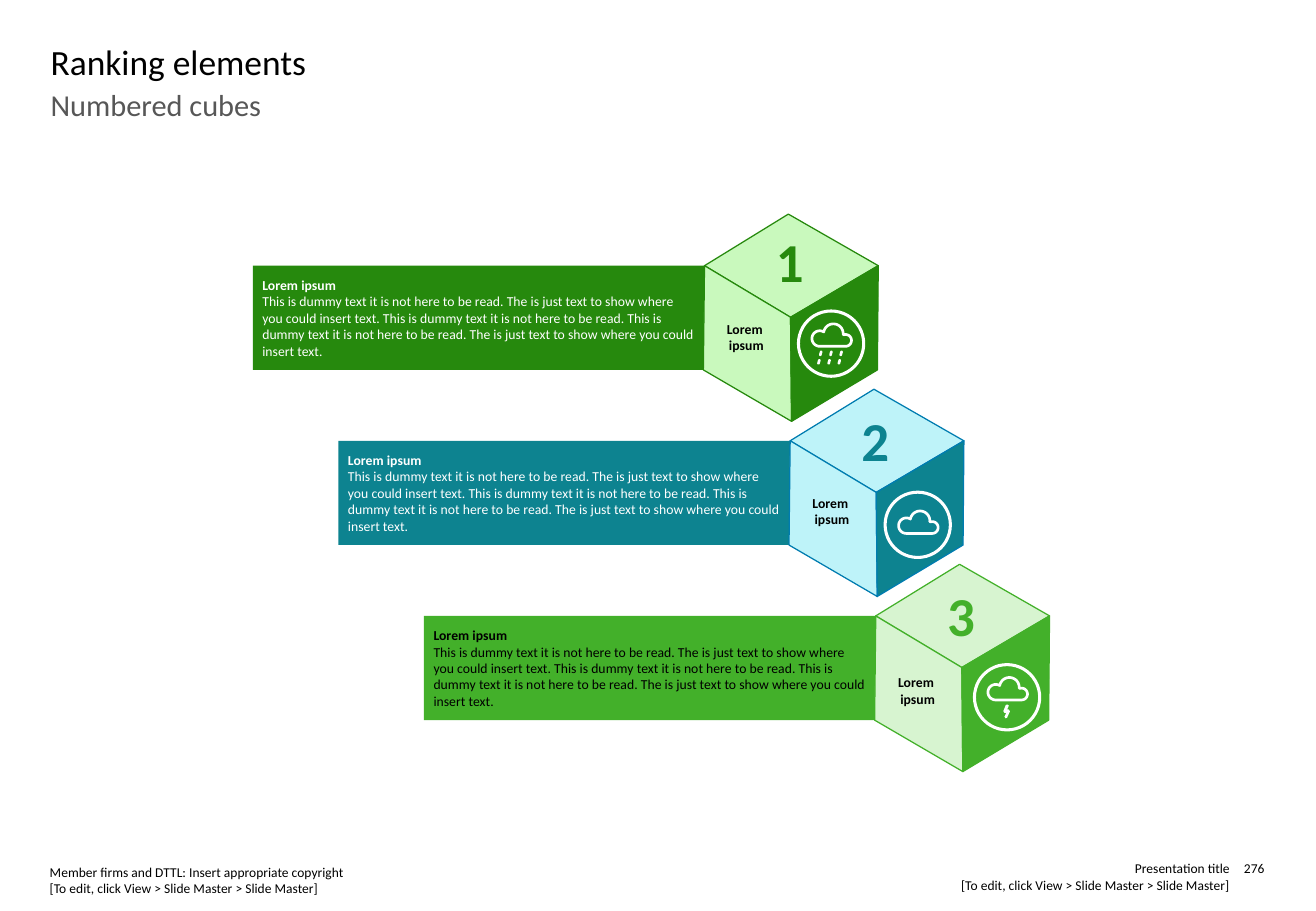
from dataclasses import dataclass
from math import cos, radians, sin

from pptx import Presentation
from pptx.dml.color import RGBColor
from pptx.enum.shapes import MSO_SHAPE as Shape
from pptx.enum.text import MSO_ANCHOR as Anchor, PP_ALIGN as Align
from pptx.util import Pt


@dataclass(frozen=True)
class Theme:
    font: str = "Calibri"
    black: str = "000000"
    white: str = "FFFFFF"
    gray: str = "575757"
    title: float = 21
    subtitle: float = 18
    footer: float = 8
    body: float = 8.1
    number: float = 32.5


@dataclass(frozen=True)
class Rank:
    number: str
    dark: str
    light: str
    edge: str
    text: str
    number_top: float   # tops and icon centre are measured from the cube corner
    label_top: float
    icon_center: tuple
    weather: str


THEME = Theme()
RANKS = [
    Rank("1", "26890D", "C9F9BD", "26890D", THEME.white, -24.5, 32.5, (75, 46.2), "rain"),
    Rank("2", "0D8390", "BEF3F9", "007CB0", THEME.white, -22.3, 31.8, (75.6, 49.8), "cloud"),
    Rank("3", "43B02A", "D7F4D0", "43B02A", THEME.black, -22.3, 34.5, (77.8, 48.2), "storm"),
]
DUMMY = ("This is dummy text it is not here to be read. The is just text to show where "
         "you could insert text. This is dummy text it is not here to be read. This is "
         "dummy text it is not here to be read. The is just text to show where you could "
         "insert text.")
EDIT_HINT = "[To edit, click View > Slide Master > Slide Master]"

# Bars and their steps from rank to rank
BAR_LEFT, BAR_TOP, BAR_WIDTH, BAR_HEIGHT = 149.8, 157.5, 267.8, 61.8
STEP_X, STEP_Y = 50.75, 103.8

# Cube corners, measured from the upper left corner
WEST, NORTH, EAST, MIDDLE = (0, 0), (49.7, -30.6), (103, 0), (51, 30.6)
SOUTH_WEST, SOUTH, SOUTH_EAST = (-0.7, 61.8), (51.6, 92.3), (102.5, 61.8)

# Icon parts, measured from the ring centre; arcs are x, y, radius, start, end
RING_SIZE = 38.7
CLOUD_ARCS = [(-6.7, -3, 4.6, 90, 300), (1.4, -5.9, 5.8, 190, 365), (8.6, -1.9, 3.5, 255, 450)]
DROP_ROWS = [(-6.1, 5.8), (-7.2, 10.8)]
DROP_GAP, DROP_WIDTH, DROP_HEIGHT = 6.05, 1.6, 3.3
BOLT = [(0.4, 4.3), (-0.7, 4.5), (-2.2, 8.2), (-1.7, 9.2), (-0.5, 9.3), (-1.5, 11.6),
        (-0.8, 12.5), (0, 12.2), (1.7, 8.4), (1.1, 7.3), (0.1, 7.2), (1.1, 5)]


def color(value):
    return RGBColor.from_string(value)


def paint(shape, fill=None, line=None, width=0.75):
    shape.shadow.inherit = False
    if fill:
        shape.fill.solid()
        shape.fill.fore_color.rgb = color(fill)
    else:
        shape.fill.background()
    if line:
        shape.line.color.rgb = color(line)
        shape.line.width = Pt(width)
    else:
        shape.line.fill.background()


def set_font(font, size, tint, bold=False):
    font.name, font.size, font.bold = THEME.font, Pt(size), bold
    font.color.rgb = color(tint)


def set_margins(frame, margin):
    frame.word_wrap = True
    frame.margin_left = frame.margin_right = Pt(margin)
    frame.margin_top = frame.margin_bottom = Pt(margin)


def add_text(slide, text, box, size, tint=THEME.black, align=Align.LEFT, bold=False, margin=0):
    frame = slide.shapes.add_textbox(*map(Pt, box)).text_frame
    set_margins(frame, margin)
    paragraph = frame.paragraphs[0]
    paragraph.text = text
    paragraph.alignment = align
    set_font(paragraph.font, size, tint, bold)


def add_polygon(shapes, origin, points, **colors):
    corners = [(Pt(origin[0] + x), Pt(origin[1] + y)) for x, y in points]
    builder = shapes.build_freeform(*corners[0])
    builder.add_line_segments(corners[1:], close=True)
    paint(builder.convert_to_shape(), **colors)


def add_bar(slide, left, top, rank):
    bar = slide.shapes.add_shape(Shape.RECTANGLE, Pt(left), Pt(top), Pt(BAR_WIDTH), Pt(BAR_HEIGHT))
    paint(bar, rank.dark)
    frame = bar.text_frame
    set_margins(frame, 5.67)
    frame.vertical_anchor = Anchor.MIDDLE
    paragraph = frame.paragraphs[0]
    paragraph.alignment = Align.LEFT
    heading = paragraph.add_run()
    heading.text = "Lorem ipsum"
    paragraph.add_line_break()
    body = paragraph.add_run()
    body.text = DUMMY
    set_font(heading.font, THEME.body, rank.text, True)
    set_font(body.font, THEME.body, rank.text)


def add_cube(slide, corner, rank):
    shapes = slide.shapes.add_group_shape().shapes
    faces = [
        ((WEST, NORTH, EAST, MIDDLE), rank.light),
        ((SOUTH_WEST, WEST, MIDDLE, SOUTH), rank.light),
        ((MIDDLE, SOUTH, SOUTH_EAST, EAST), rank.dark),
    ]
    for points, fill in faces:
        add_polygon(shapes, corner, points, fill=fill, line=rank.edge)


def cloud_points():
    return [(x + radius * cos(radians(angle)), y + radius * sin(radians(angle)))
            for x, y, radius, start, end in CLOUD_ARCS
            for angle in range(start, end + 1, 5)]


def add_icon(slide, center, weather):
    shapes = slide.shapes.add_group_shape().shapes
    x, y = center
    ring = shapes.add_shape(Shape.OVAL, Pt(x - RING_SIZE / 2), Pt(y - RING_SIZE / 2),
                            Pt(RING_SIZE), Pt(RING_SIZE))
    paint(ring, line=THEME.white, width=1.8)
    cloud_shift = 3.5 if weather == "cloud" else 0
    add_polygon(shapes, (x, y + cloud_shift), cloud_points(), line=THEME.white, width=1.6)
    if weather == "rain":
        for first, level in DROP_ROWS:
            for column in range(3):
                drop = shapes.add_shape(
                    Shape.ROUNDED_RECTANGLE,
                    Pt(x + first + column * DROP_GAP - DROP_WIDTH / 2),
                    Pt(y + level - DROP_HEIGHT / 2), Pt(DROP_WIDTH), Pt(DROP_HEIGHT))
                drop.adjustments[0] = 0.5
                drop.rotation = 15
                paint(drop, THEME.white)
    elif weather == "storm":
        add_polygon(shapes, center, BOLT, fill=THEME.white)


def add_rank(slide, index, rank):
    left, top = BAR_LEFT + index * STEP_X, BAR_TOP + index * STEP_Y
    x = left + BAR_WIDTH
    add_bar(slide, left, top, rank)
    add_cube(slide, (x, top), rank)
    add_text(slide, rank.number, (x + 28.5, top + rank.number_top, 44, 44),
             THEME.number, rank.dark, Align.CENTER, True, 2)
    add_text(slide, "Lorem \nipsum", (x - 5.7, top + rank.label_top, 61, 19.5),
             THEME.body, align=Align.CENTER, bold=True)
    add_icon(slide, (x + rank.icon_center[0], top + rank.icon_center[1]), rank.weather)


def main():
    presentation = Presentation()
    presentation.slide_width, presentation.slide_height = Pt(780), Pt(540)
    slide = presentation.slides.add_slide(presentation.slide_layouts[6])

    # Heading
    add_text(slide, "Ranking elements", (30, 23.8, 716, 27.4), THEME.title)
    add_text(slide, "Numbered cubes", (30, 51.2, 716, 60), THEME.subtitle, THEME.gray)

    # Ranked bars and cubes
    for index, rank in enumerate(RANKS):
        add_rank(slide, index, rank)

    # Footer
    add_text(slide, f"Member firms and DTTL: Insert appropriate copyright\n{EDIT_HINT}",
             (29.5, 512, 343, 19.5), THEME.footer)
    add_text(slide, f"Presentation title\n{EDIT_HINT}", (407.5, 510, 321.5, 19.5),
             THEME.footer, align=Align.RIGHT)
    add_text(slide, "276", (730, 510, 19.5, 9.5), THEME.footer, align=Align.RIGHT)

    presentation.save("out.pptx")


if __name__ == "__main__":
    main()
